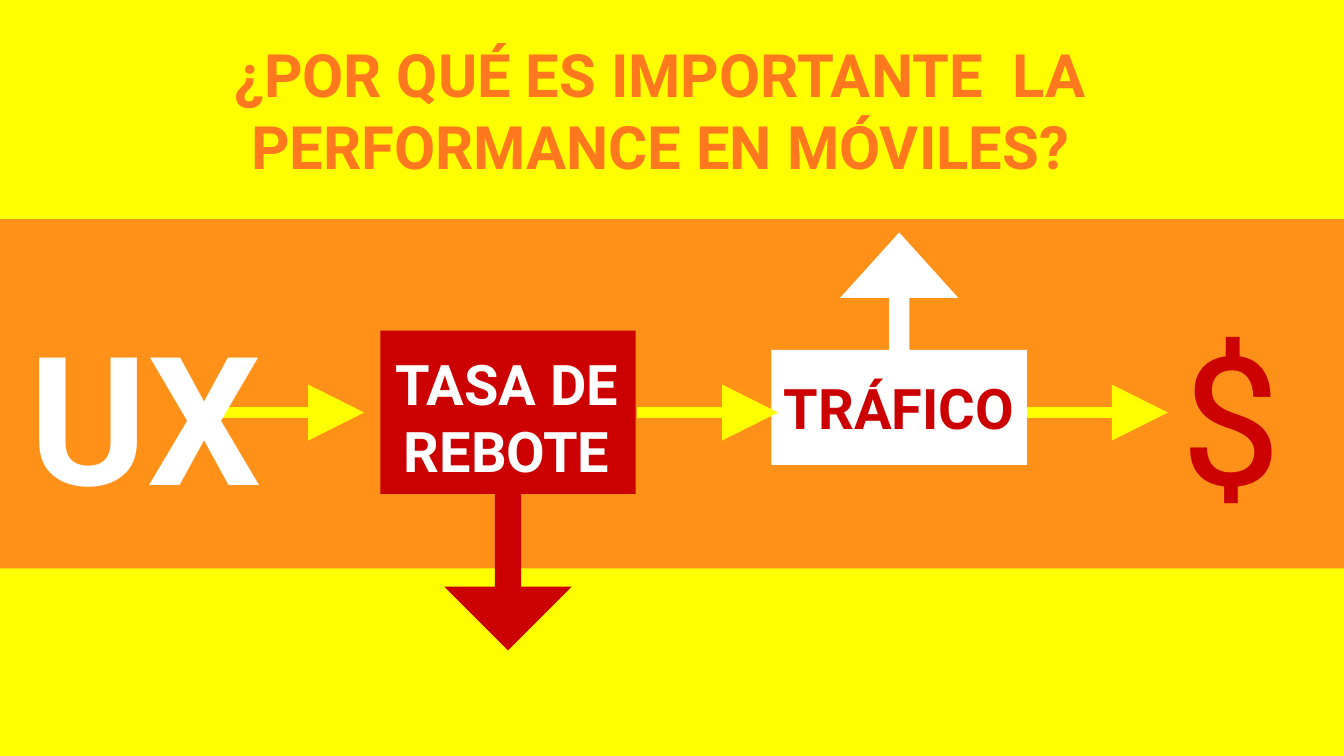
from dataclasses import dataclass

from lxml import etree
from pptx import Presentation
from pptx import util as u
from pptx.dml.color import RGBColor
from pptx.enum import shapes, text
from pptx.oxml.ns import qn

YELLOW, ORANGE, RED, WHITE = "FFFF00", "FF781E", "CC0000", "FFFFFF"
FLOW_Y = 3.07


@dataclass
class Block:
    kind: shapes.MSO_SHAPE
    left: float
    top: float
    width: float
    height: float
    color: str
    adjustments: tuple[float, ...] = ()
    rotation: int = 0


@dataclass
class Label:
    wording: str
    left: float
    top: float
    width: float
    height: float
    size: int
    color: str
    font: str = "Roboto"
    bold: bool = True


BAND = Block(shapes.MSO_SHAPE.RECTANGLE, 0, 1.63, 10, 2.6, ORANGE)
CALLOUTS = [
    Block(shapes.MSO_SHAPE.DOWN_ARROW_CALLOUT, 5.74, 1.73, 1.9, 1.73, WHITE,
          (0.087, 0.254, 0.281, 0.495), 180),
    Block(shapes.MSO_SHAPE.DOWN_ARROW_CALLOUT, 2.83, 2.46, 1.9, 2.38, RED,
          (0.103, 0.25, 0.25, 0.511)),
]
FLOW_SPANS = [(1.63, 2.71), (4.74, 5.79), (7.64, 8.69)]
LABELS = [
    Label("¿POR QUÉ ES IMPORTANTE  LA PERFORMANCE EN MÓVILES?",
          0.71, 0.12, 8.41, 1.33, 32, ORANGE),
    Label("UX", 0, 2.25, 2.16, 1.73, 96, WHITE),
    Label("TASA DE REBOTE", 2.63, 2.61, 2.28, 1.09, 30, WHITE),
    Label("TRÁFICO", 5.55, 2.59, 2.28, 0.79, 30, RED),
    Label("$", 8.09, 2.25, 2.16, 1.73, 96, RED, "Roboto Slab", False),
]


def paint(color_holder, color: str) -> None:
    """Give a fill, or the fill of a line, font or background, a solid colour."""
    fill = getattr(color_holder, "fill", color_holder)
    fill.solid()
    fill.fore_color.rgb = RGBColor.from_string(color)


def draw_block(slide, block: Block):
    shape = slide.shapes.add_shape(
        block.kind, u.Inches(block.left), u.Inches(block.top),
        u.Inches(block.width), u.Inches(block.height))
    shape.shadow.inherit = False
    shape.rotation = block.rotation
    paint(shape.fill, block.color)
    shape.line.fill.background()
    for index, value in enumerate(block.adjustments):
        shape.adjustments[index] = value
    return shape


def set_opacity(shape, percent: int) -> None:
    color = shape.fill._xPr.find(qn("a:solidFill"))[0]
    etree.SubElement(color, qn("a:alpha"), val=str(percent * 1000))


def draw_flow_arrow(slide, start: float, end: float) -> None:
    arrow = slide.shapes.add_connector(
        shapes.MSO_CONNECTOR.STRAIGHT, u.Inches(start), u.Inches(FLOW_Y),
        u.Inches(end), u.Inches(FLOW_Y))
    paint(arrow.line, YELLOW)
    arrow.line.width = u.Pt(6)
    properties = arrow.line._get_or_add_ln()
    etree.SubElement(properties, qn("a:tailEnd"), type="triangle", w="lg", len="lg")
    etree.SubElement(properties.getparent(), qn("a:effectLst"))


def draw_label(slide, label: Label) -> None:
    frame = slide.shapes.add_textbox(
        u.Inches(label.left), u.Inches(label.top),
        u.Inches(label.width), u.Inches(label.height)).text_frame
    frame.word_wrap = True
    frame.vertical_anchor = text.MSO_ANCHOR.BOTTOM
    frame.margin_left = frame.margin_right = u.Inches(0.1)
    frame.margin_top = frame.margin_bottom = u.Inches(0.1)
    paragraph = frame.paragraphs[0]
    paragraph.alignment = text.PP_ALIGN.CENTER
    run = paragraph.add_run()
    run.text = label.wording
    run.font.name = label.font
    run.font.size = u.Pt(label.size)
    run.font.bold = label.bold
    paint(run.font, label.color)


def main() -> None:
    deck = Presentation()
    deck.slide_width = u.Inches(10)
    deck.slide_height = u.Inches(10 * 9 / 16)
    slide = deck.slides.add_slide(deck.slide_layouts[6])
    paint(slide.background, YELLOW)

    set_opacity(draw_block(slide, BAND), 82)
    for callout in CALLOUTS:
        draw_block(slide, callout)
    for start, end in FLOW_SPANS:
        draw_flow_arrow(slide, start, end)
    for label in LABELS:
        draw_label(slide, label)

    deck.save("out.pptx")


if __name__ == "__main__":
    main()
